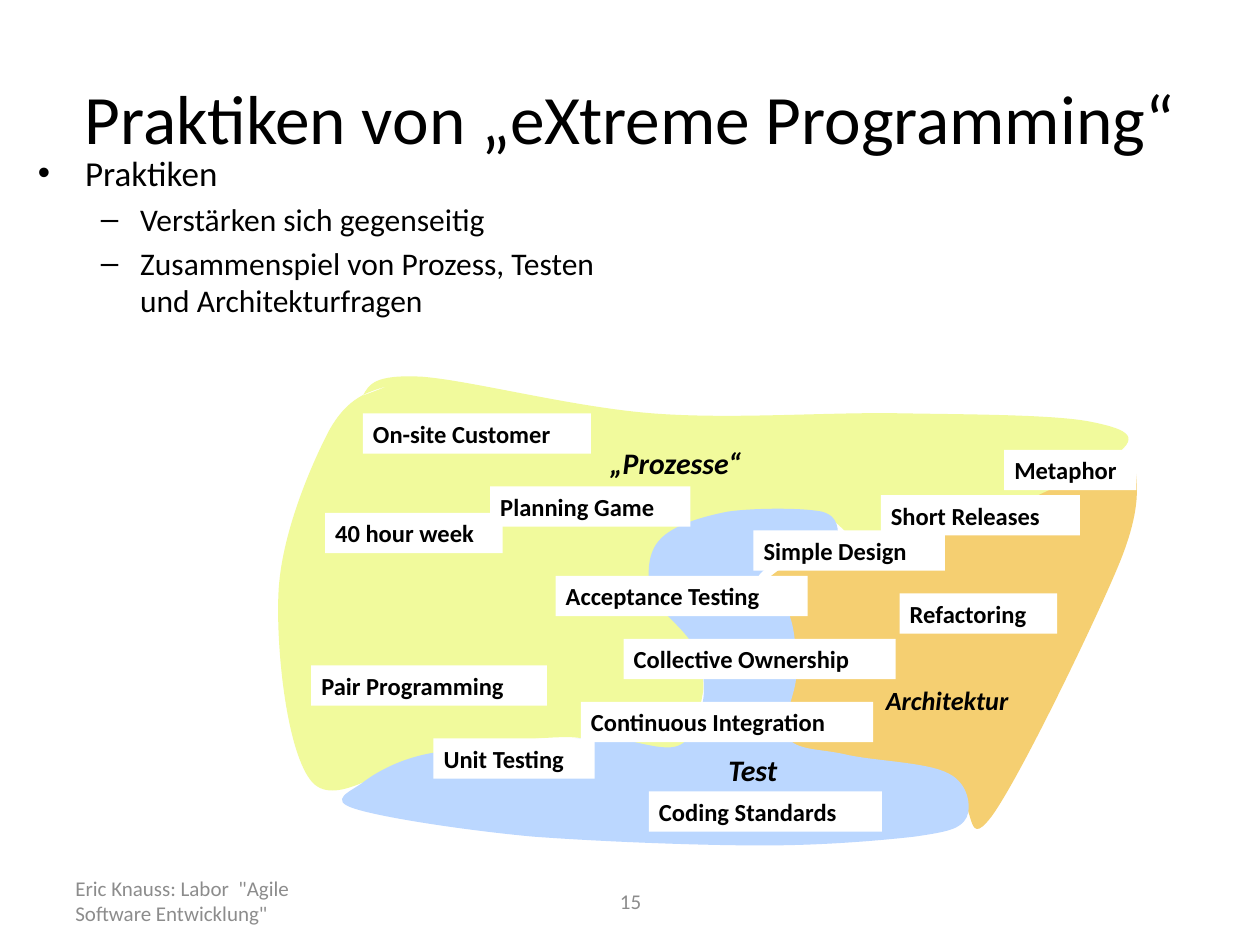
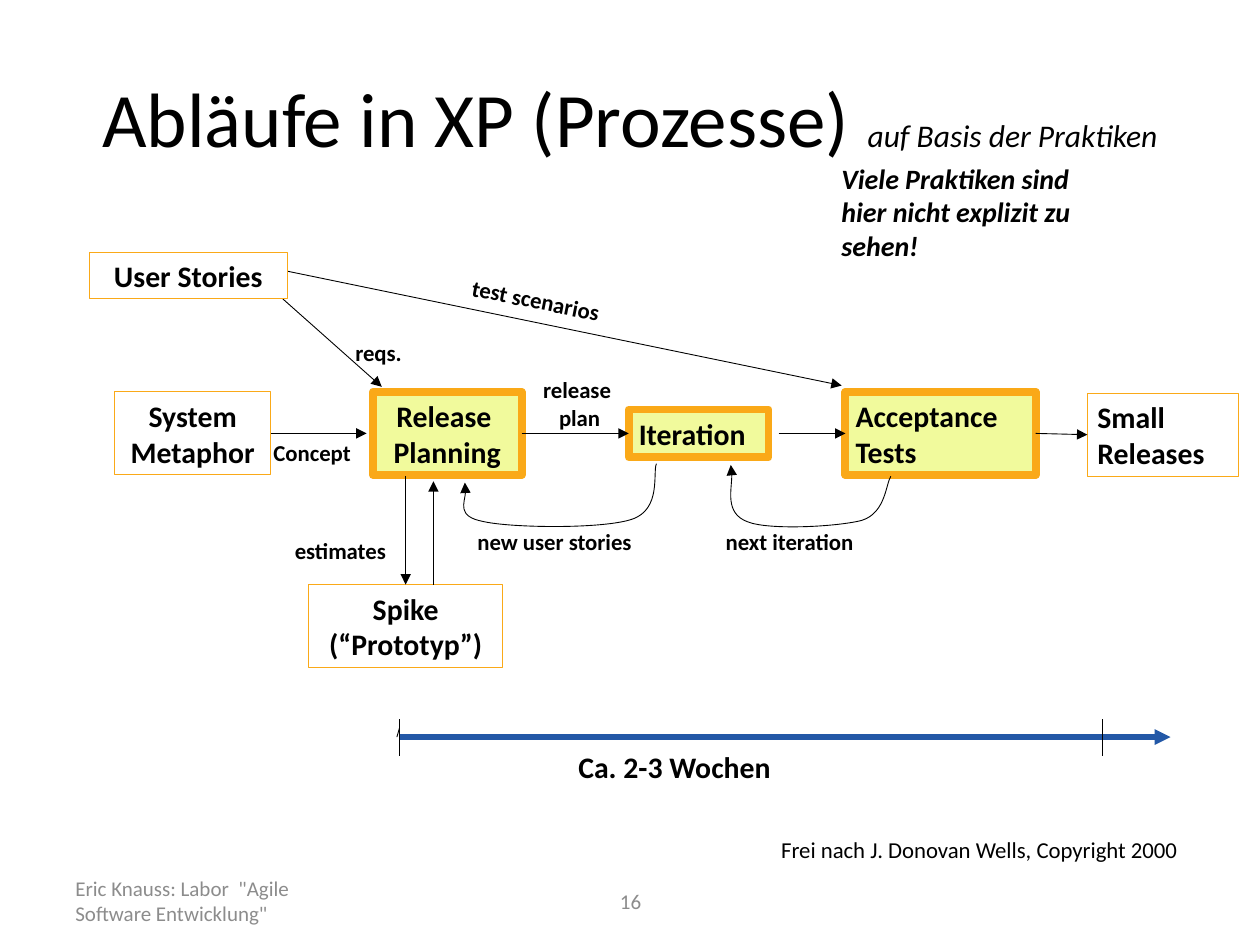
import pptx
import pptx.dml.color
import pptx.enum.shapes
import pptx.enum.text
import pptx.oxml
import pptx.oxml.ns
import pptx.util

EMU_PER_PX = 9144  # 100 px to the inch
FONT = "Calibri"
COLORS = {
    "text": "000000",
    "footer": "8C8C8C",
    "white": "FFFFFF",
    "process": "F1FA9C",
    "architecture": "F5CF71",
    "test": "BBD7FF",
    "box_line": "FAA918",
    "timeline": "2358A7",
}
FOOTER = 'Eric Knauss: Labor  "Agile Software Entwicklung"'
TITLE_BOX = (50, 30, 900, 125)
LABEL_INSET = (8, 4)
TEXT_INSET = (10, 5)
ALIGN = pptx.enum.text.PP_ALIGN
ANCHOR = pptx.enum.text.MSO_ANCHOR
TOP, LEFT, BOTTOM, RIGHT = range(4)

# Outlines: a start point, then three points for each curve.
ARCHITECTURE_AREA = (
    881, 370, 891, 363, 900, 356, 901, 370, 902, 383, 907, 402, 888, 448,
    869, 494, 809, 618, 787, 648, 764, 678, 777, 631, 753, 627,
    729, 622, 669, 630, 645, 619, 622, 609, 621, 585, 612, 562,
    603, 540, 585, 505, 591, 484, 598, 462, 630, 443, 652, 434,
    674, 424, 695, 437, 726, 427, 758, 416, 813, 380, 841, 370,
    869, 359, 882, 361, 894, 362)
PROCESS_AREA = (
    309, 306, 292, 311, 276, 315, 261, 342, 247, 369, 223, 424, 221, 471,
    219, 517, 228, 599, 248, 621, 268, 642, 309, 605, 342, 599,
    376, 593, 419, 585, 450, 585, 481, 585, 513, 605, 531, 599,
    549, 593, 555, 566, 558, 549, 560, 533, 551, 516, 544, 499,
    538, 483, 516, 463, 517, 449, 518, 435, 530, 421, 551, 414,
    572, 406, 618, 403, 645, 406, 672, 410, 673, 442, 713, 435,
    752, 428, 855, 380, 881, 364, 907, 347, 896, 341, 867, 335,
    839, 329, 771, 329, 713, 328, 654, 327, 580, 333, 517, 328,
    454, 323, 374, 302, 335, 299, 297, 297, 293, 305, 288, 314)
TEST_AREA = (
    288, 621, 279, 628, 259, 635, 282, 642, 304, 649, 369, 659, 423, 664,
    477, 668, 554, 671, 605, 671, 655, 671, 699, 667, 726, 664,
    753, 660, 762, 658, 767, 649, 771, 641, 769, 622, 753, 614,
    737, 605, 694, 604, 672, 599, 651, 594, 632, 596, 625, 585,
    618, 574, 632, 552, 632, 535, 632, 518, 631, 496, 625, 485,
    619, 474, 600, 477, 598, 471, 596, 465, 602, 453, 612, 449,
    622, 446, 650, 453, 659, 449, 668, 446, 667, 435, 666, 428,
    664, 421, 667, 410, 652, 406, 637, 403, 599, 403, 578, 406,
    557, 410, 534, 417, 524, 428, 514, 438, 513, 456, 517, 471,
    522, 485, 544, 499, 551, 514, 558, 528, 560, 543, 558, 556,
    556, 569, 551, 587, 538, 592, 524, 597, 497, 585, 477, 585,
    457, 585, 440, 590, 416, 592, 393, 594, 357, 594, 336, 599,
    314, 604, 297, 614, 288, 621)
NEXT_ITERATION = (
    707, 378, 703, 384, 703, 407, 684, 413, 665, 418, 610, 421, 593, 414,
    575, 407, 583, 379, 580, 369)
NEW_USER_STORIES = (
    521, 368, 518, 375, 525, 404, 502, 412, 479, 420, 406, 419, 384, 414,
    362, 410, 372, 390, 369, 383)

AREAS = [  # outline, colour, label, label box, label size
    (ARCHITECTURE_AREA, "architecture", "Architektur", (695, 539, 128, 33), 15),
    (PROCESS_AREA, "process", "„Prozesse“", (476, 349, 146, 37), 17),
    (TEST_AREA, "test", "Test", (570, 592, 65, 37), 17),
]
PRACTICES = [  # name, left, top, width
    ("On-site Customer", 288, 328, 181),
    ("40 hour week", 258, 407, 141),
    ("Acceptance Testing", 441, 457, 200),
    ("Planning Game", 389, 386, 159),
    ("Metaphor", 797, 357, 105),
    ("Refactoring", 714, 471, 125),
    ("Simple Design", 598, 421, 152),
    ("Pair Programming", 247, 528, 187),
    ("Unit Testing", 344, 586, 128),
    ("Short Releases", 699, 393, 158),
    ("Continuous Integration", 461, 557, 232),
    ("Coding Standards", 515, 628, 185),
    ("Collective Ownership", 495, 507, 216),
]
FLOW_LABELS = [  # text, box
    ("next iteration", (568, 415, 131, 30)),
    ("new user stories", (371, 415, 160, 30)),
    ("Concept", (209, 344, 89, 30)),
    ("reqs.", (274, 265, 60, 30)),
    ("estimates", (226, 422, 100, 30)),
]


def px(value):
    return pptx.util.Emu(value * EMU_PER_PX)


def rgb(name):
    return pptx.dml.color.RGBColor.from_string(COLORS[name])


def place(shape, box):
    shape.left, shape.top, shape.width, shape.height = map(px, box)


def add_run(paragraph, text, size, bold=None, italic=None, color="text"):
    run = paragraph.add_run()
    run.text = text
    font = run.font
    font.name, font.size = FONT, pptx.util.Pt(size)
    font.bold, font.italic = bold, italic
    font.color.rgb = rgb(color)


def write_text(frame, text, align=ALIGN.LEFT, anchor=ANCHOR.MIDDLE,
               inset=TEXT_INSET, **font):
    """Fill a text frame, one paragraph for each line of text."""
    frame.word_wrap = True
    frame.auto_size = pptx.enum.text.MSO_AUTO_SIZE.NONE
    frame.vertical_anchor = anchor
    frame.margin_left = frame.margin_right = px(inset[0])
    frame.margin_top = frame.margin_bottom = px(inset[1])
    for index, line in enumerate(text.split("\n")):
        paragraph = frame.add_paragraph() if index else frame.paragraphs[0]
        paragraph.alignment = align
        add_run(paragraph, line, **font)


def add_text(slide, text, box, **text_format):
    shape = slide.shapes.add_textbox(*map(px, box))
    write_text(shape.text_frame, text, **text_format)
    return shape


def add_label(slide, text, box, size=13, bold=True, **text_format):
    return add_text(slide, text, box, size=size, bold=bold,
                    inset=LABEL_INSET, **text_format)


def add_box(slide, text, box, fill=None, line_width=None, **text_format):
    shape = slide.shapes.add_shape(
        pptx.enum.shapes.MSO_SHAPE.RECTANGLE, *map(px, box))
    shape.shadow.inherit = False
    if fill:
        shape.fill.solid()
        shape.fill.fore_color.rgb = rgb(fill)
    else:
        shape.fill.background()
    if line_width:
        set_line(shape, "box_line", line_width)
    else:
        shape.line.fill.background()
    write_text(shape.text_frame, text, inset=LABEL_INSET, bold=True, **text_format)
    return shape


def set_line(shape, color, width, arrow=False):
    shape.line.color.rgb = rgb(color)
    shape.line.width = pptx.util.Pt(width)
    if arrow:
        tail = pptx.oxml.parse_xml(
            f'<a:tailEnd {pptx.oxml.ns.nsdecls("a")} type="triangle"/>')
        shape.line._get_or_add_ln().append(tail)


def add_line(slide, start, end, begin=None, finish=None, color="text",
             width=0.5, arrow=True):
    """Draw a straight line; begin and finish are (shape, side) to join."""
    line = slide.shapes.add_connector(
        pptx.enum.shapes.MSO_CONNECTOR.STRAIGHT, *map(px, start + end))
    if begin:
        line.begin_connect(*begin)
    if finish:
        line.end_connect(*finish)
    set_line(line, color, width, arrow)
    line._element.spPr.append(pptx.oxml.parse_xml(
        f'<a:effectLst {pptx.oxml.ns.nsdecls("a")}/>'))


def add_curve(slide, outline, close):
    """Build a freeform and turn each three of its segments into a Bézier curve."""
    values = [px(value) for value in outline]
    points = list(zip(values[::2], values[1::2]))
    builder = slide.shapes.build_freeform(*points[0])
    builder.add_line_segments(points[1:], close=close)
    shape = builder.convert_to_shape()
    shape.shadow.inherit = False
    segments = list(shape._element.iter(pptx.oxml.ns.qn("a:lnTo")))
    for index in range(0, len(segments), 3):
        curve = pptx.oxml.parse_xml(
            f'<a:cubicBezTo {pptx.oxml.ns.nsdecls("a")}/>')
        segments[index].addprevious(curve)
        for segment in segments[index:index + 3]:
            curve.append(segment[0])
            segment.getparent().remove(segment)
    return shape


def add_area(slide, outline, color):
    area = add_curve(slide, outline, close=True)
    area.fill.solid()
    area.fill.fore_color.rgb = rgb(color)
    area.line.fill.background()


def add_curved_arrow(slide, outline):
    arrow = add_curve(slide, outline, close=False)
    arrow.fill.background()
    set_line(arrow, "text", 0.5, arrow=True)


def add_slide(presentation, layout, title, title_size, number):
    slide = presentation.slides.add_slide(presentation.slide_layouts[layout])
    place(slide.shapes.title, TITLE_BOX)
    write_text(slide.shapes.title.text_frame, title, size=title_size,
               align=ALIGN.CENTER)
    add_text(slide, FOOTER, (50, 695, 233, 40), size=12, color="footer")
    add_text(slide, number, (342, 695, 317, 40), size=12, color="footer",
             align=ALIGN.CENTER)
    return slide


def build_practices(presentation):
    slide = add_slide(presentation, 1, "Praktiken von „eXtreme Programming“",
                      39.6, "15")
    body = slide.placeholders[1]
    place(body, (20, 115, 477, 166))
    write_text(body.text_frame, "Praktiken", anchor=ANCHOR.TOP, size=20)
    body.text_frame.paragraphs[0].space_before = pptx.util.Pt(0)
    for text in ("Verstärken sich gegenseitig",
                 "Zusammenspiel von Prozess, Testen und Architekturfragen"):
        paragraph = body.text_frame.add_paragraph()
        paragraph.level = 1
        add_run(paragraph, text, size=18)
    for outline, color, label, box, size in AREAS:
        add_area(slide, outline, color)
        add_label(slide, label, box, size=size, italic=True)
    for name, left, top, width in PRACTICES:
        add_box(slide, name, (left, top, width, 32), fill="white", size=14)


def build_process(presentation):
    slide = add_slide(presentation, 5, "Abläufe in XP (Prozesse) ", 44, "16")
    add_run(slide.shapes.title.text_frame.paragraphs[0],
            "auf Basis der Praktiken", size=18, italic=True)

    add_line(slide, (222, 235), (303, 307))
    add_line(slide, (222, 214), (668, 306))
    thin = {"line_width": 0.5, "size": 17}
    thick = {"line_width": 4.5, "size": 17, "fill": "process"}
    add_box(slide, "User Stories", (71, 200, 157, 37), fill="white",
            align=ALIGN.CENTER, **thin)
    metaphor = add_box(slide, "System\nMetaphor", (91, 311, 124, 66),
                       fill="white", align=ALIGN.CENTER, **thin)
    planning = add_box(slide, "Release \nPlanning", (296, 311, 118, 66),
                       align=ALIGN.CENTER, **thick)
    iteration = add_box(slide, "Iteration", (499, 325, 111, 38), **thick)
    acceptance = add_box(slide, "Acceptance\nTests", (671, 311, 151, 66), **thick)
    releases = add_box(slide, "Small\nReleases", (863, 312, 120, 66), **thin)
    spike = add_box(slide, "Spike\n(“Prototyp”)", (245, 464, 154, 66),
                    align=ALIGN.CENTER, **thin)

    add_line(slide, (215, 344), (291, 344), begin=(metaphor, RIGHT))
    add_line(slide, (414, 344), (499, 344), (planning, RIGHT), (iteration, LEFT))
    add_line(slide, (618, 344), (671, 344), finish=(acceptance, LEFT))
    add_line(slide, (822, 344), (863, 345), (acceptance, RIGHT), (releases, LEFT))
    add_line(slide, (322, 378), (322, 464), finish=(spike, TOP))
    add_line(slide, (344, 464), (344, 382))
    add_curved_arrow(slide, NEXT_ITERATION)
    add_curved_arrow(slide, NEW_USER_STORIES)

    for text, box in FLOW_LABELS:
        add_label(slide, text, box)
    add_label(slide, "release \nplan", (418, 294, 84, 52), align=ALIGN.CENTER)
    add_label(slide, "test scenarios", (366, 225, 139, 30)).rotation = 11.2

    add_line(slide, (317, 585), (929, 585), color="timeline", width=3)
    add_line(slide, (317, 578), (315, 585), arrow=False)
    for x in (317, 875):
        add_line(slide, (x, 571), (x, 600), arrow=False)
    add_label(slide, "Ca. 2-3 Wochen", (451, 590, 193, 37), size=17)
    add_label(slide, "Frei nach J. Donovan Wells, Copyright 2000",
              (612, 659, 371, 30), bold=False)
    add_text(slide, "Viele Praktiken sind\nhier nicht explizit zu\nsehen!",
             (658, 123, 233, 90), anchor=ANCHOR.TOP, size=16, bold=True,
             italic=True)


def main():
    presentation = pptx.Presentation()
    presentation.slide_width, presentation.slide_height = px(1000), px(750)
    build_practices(presentation)
    build_process(presentation)
    presentation.save("out.pptx")


if __name__ == "__main__":
    main()
